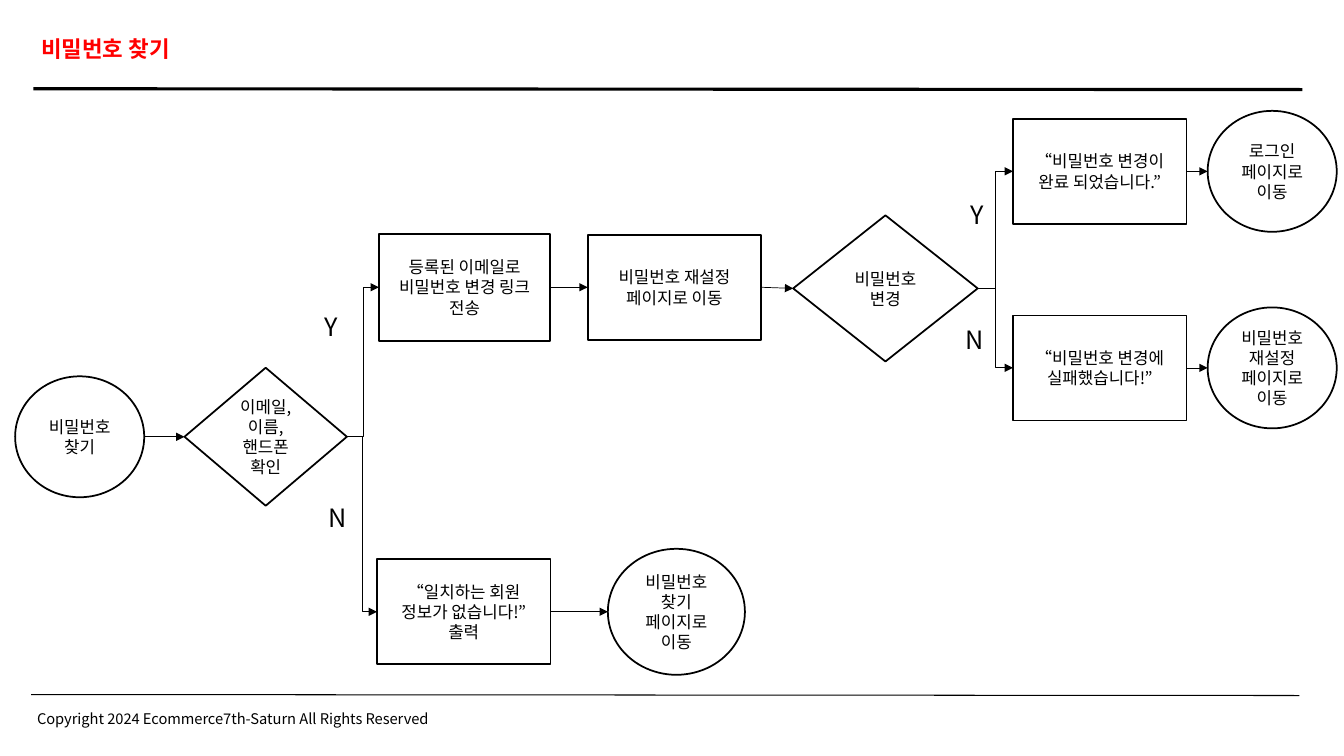
import pptx
import pptx.util
import pptx.dml.color
import pptx.enum.shapes
import pptx.enum.text
import pptx.oxml.ns
import lxml.etree

Pt = pptx.util.Pt
Kind = pptx.enum.shapes.MSO_SHAPE
Link = pptx.enum.shapes.MSO_CONNECTOR
Align = pptx.enum.text.PP_ALIGN
Anchor = pptx.enum.text.MSO_ANCHOR
qn = pptx.oxml.ns.qn

FONT = "Noto Sans CJK KR"
INK = {
    name: pptx.dml.color.RGBColor.from_string(code)
    for name, code in {"black": "000000", "white": "FFFFFF", "red": "FF0000"}.items()
}


def write(shape, text, size, align, anchor, color="black", bold=False):
    """Fill a shape with text in the slide font, one paragraph per line."""
    frame = shape.text_frame
    frame.text = text
    frame.word_wrap = True
    frame.auto_size = pptx.enum.text.MSO_AUTO_SIZE.NONE
    frame.vertical_anchor = anchor
    for para in frame.paragraphs:
        para.alignment = align
        for run in para.runs:
            font = run.font
            font.size = Pt(size)
            font.bold = bold
            font.color.rgb = INK[color]
            font.name = FONT
            east = lxml.etree.SubElement(run._r.get_or_add_rPr(), qn("a:ea"))
            east.set("typeface", FONT)


def connect(kind, ends, width, arrow=False):
    line = slide.shapes.add_connector(kind, *[Pt(n) for n in ends])
    line.line.color.rgb = INK["black"]
    line.line.width = Pt(width)
    if arrow:
        tip = lxml.etree.SubElement(line.line._get_or_add_ln(), qn("a:tailEnd"))
        tip.set("type", "triangle")
    lxml.etree.SubElement(line._element.spPr, qn("a:effectLst"))
    return line


deck = pptx.Presentation()
deck.slide_width, deck.slide_height = Pt(960), Pt(540)
slide = deck.slides.add_slide(deck.slide_layouts[5])

# Title, rules and footer
title = slide.shapes.title
title.left, title.top, title.width, title.height = Pt(22.3), Pt(21.6), Pt(741.6), Pt(28)
write(title, "비밀번호 찾기", 16, Align.LEFT, Anchor.TOP, "red", True)
connect(Link.STRAIGHT, (23.8, 63.4, 930.2, 64), 2.25)
connect(Link.STRAIGHT, (22.3, 496.1, 928.1, 496.8), 0.75)
foot = slide.shapes.add_textbox(Pt(19.4), Pt(503.3), Pt(799.2), Pt(20.2))
write(foot, "Copyright 2024 Ecommerce7th-Saturn All Rights Reserved",
      10.5, Align.LEFT, Anchor.TOP)

# Steps: kind, left, middle height, width, height, text
OVAL, RHOMB, BOX = Kind.OVAL, Kind.FLOWCHART_DECISION, Kind.FLOWCHART_PROCESS
DONE, MAIN, FAIL, START, NONE = 122.4, 205.2, 262.8, 312, 437
steps = {
    "start": (OVAL, 10.8, START, 92.2, 86.4, "비밀번호 찾기"),
    "check": (RHOMB, 131.8, START, 116, 98.6, "이메일,\n이름,\n핸드폰 확인"),
    "none": (BOX, 269.3, NONE, 124, 75, "“일치하는 회원 정보가 없습니다!”\n출력"),
    "mail": (BOX, 270.7, MAIN, 122.4, 76.3, "등록된 이메일로 비밀번호 변경 링크 전송"),
    "reset": (BOX, 419.8, MAIN, 124, 75, "비밀번호 재설정\n페이지로 이동"),
    "change": (RHOMB, 566.6, MAIN + 0.8, 131.8, 104.4, "비밀번호 변경"),
    "done": (BOX, 723.6, DONE, 124, 75, "“비밀번호 변경이 완료 되었습니다.”"),
    "fail": (BOX, 723.6, FAIL, 124, 75, "“비밀번호 변경에 실패했습니다!”"),
    "login": (OVAL, 862.6, DONE, 92.2, 86.4, "로그인 페이지로\n이동"),
    "again": (OVAL, 862.6, FAIL, 92.2, 86.4, "비밀번호 재설정\n페이지로 이동"),
    "back": (OVAL, 434.2, NONE, 97.9, 90, "비밀번호 찾기\n페이지로\n이동"),
}
nodes = {}
for name, (kind, left, mid, width, height, text) in steps.items():
    node = slide.shapes.add_shape(
        kind, Pt(left), Pt(mid - height / 2), Pt(width), Pt(height))
    node.shadow.inherit = False
    node.fill.solid()
    node.fill.fore_color.rgb = INK["white"]
    node.line.color.rgb = INK["black"]
    node.line.width = Pt(1.25)
    write(node, text, 12, Align.CENTER, Anchor.MIDDLE)
    nodes[name] = node

# Arrows run from the right side of one step to the left side of the next
for first, last in (
    ("start", "check"), ("check", "mail"), ("check", "none"), ("mail", "reset"),
    ("reset", "change"), ("change", "done"), ("change", "fail"),
    ("none", "back"), ("done", "login"), ("fail", "again"),
):
    from_kind, left, y1, width = steps[first][:4]
    to_kind, x2, y2 = steps[last][:3]
    bend = Link.ELBOW if from_kind == RHOMB else Link.STRAIGHT
    line = connect(bend, (left + width, y1, x2, y2), 0.5, True)
    if from_kind != OVAL:
        line.begin_connect(nodes[first], 3)
    if to_kind != OVAL:
        line.end_connect(nodes[last], 1)

# Branch labels
for text, left, top in (
    ("Y", 208.8, 218.9), ("N", 213.8, 355), ("Y", 670.3, 139), ("N", 668.2, 228.2),
):
    label = slide.shapes.add_textbox(Pt(left), Pt(top), Pt(55.4), Pt(28.8))
    write(label, text, 18, Align.CENTER, Anchor.TOP)

deck.save("out.pptx")
